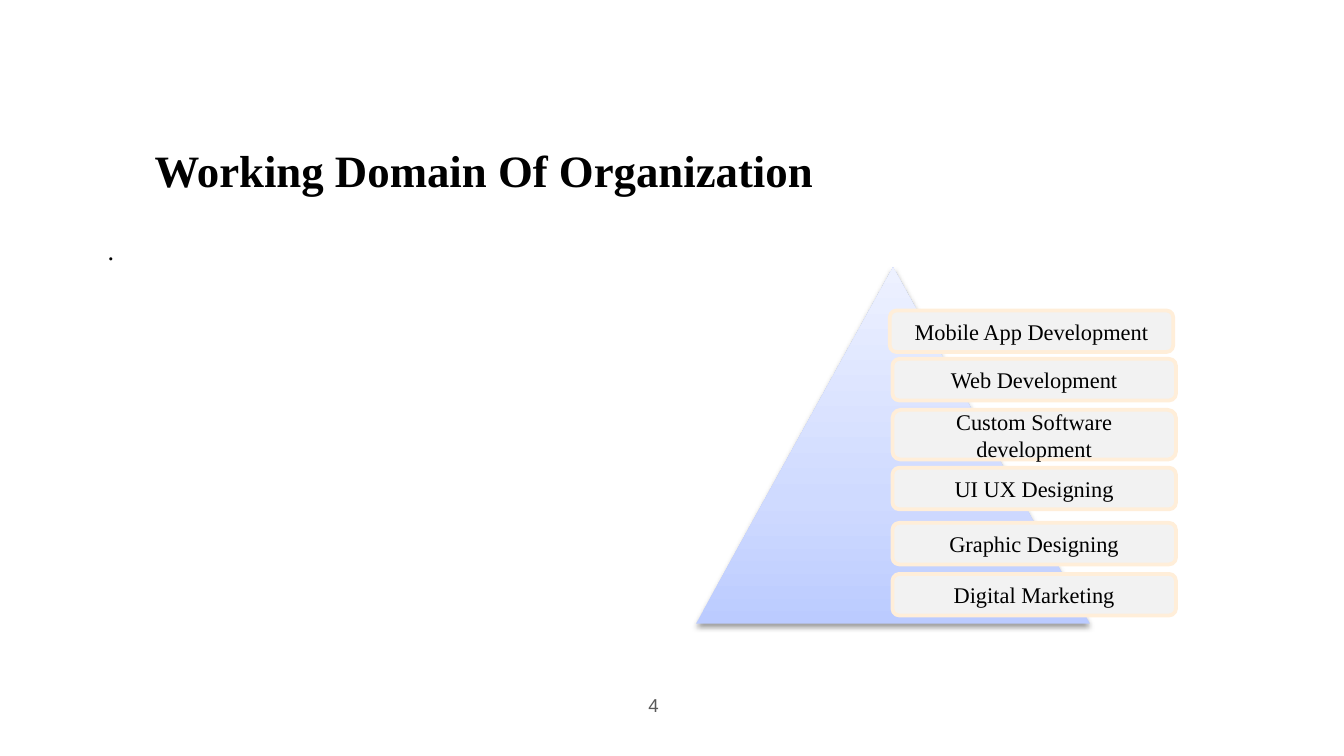
"""Build the slide on the working domains of the organization."""
from copy import deepcopy
from dataclasses import dataclass

from lxml.etree import SubElement
from pptx import Presentation
from pptx.dml.color import RGBColor
from pptx.enum.shapes import MSO_SHAPE as Preset
from pptx.enum.text import MSO_ANCHOR as Anchor, MSO_AUTO_SIZE as Fit, PP_ALIGN as Align
from pptx.oxml.ns import qn
from pptx.util import Inches, Pt

COLORS = {
    "ink": "000000", "number": "595959", "label": "F2F2F2", "border": "FFEED9",
    "base": "BBCBFF", "middle": "CFDAFF", "peak": "EDF1FF",
}
SERIF = "Times New Roman"
WIDTH = Inches(10)
HEIGHT = WIDTH * 9 // 16
UNIT = WIDTH // 100


@dataclass
class Box:
    left: float
    top: float
    width: float
    height: float

    def emu(self) -> tuple[int, ...]:
        return tuple(round(n * UNIT) for n in (self.left, self.top, self.width, self.height))


@dataclass
class Domain:
    name: str
    top: float
    left: float = 66.4
    height: float = 3.1


DOMAINS = [
    Domain("Mobile App Development", 23.1, left=66.2),
    Domain("Web Development", 26.7),
    Domain("Custom Software development", 30.5, height=3.7),
    Domain("UI UX Designing", 34.8),
    Domain("Graphic Designing", 38.9),
    Domain("Digital Marketing", 42.7),
]


def color(name: str) -> RGBColor:
    return RGBColor.from_string(COLORS[name])


def write(paragraph, text: str, size: float = 12, font: str = SERIF, ink: str = "ink",
          bold: bool = False, align=Align.CENTER, indent: float = 0,
          spacing: float = 1, before: float = 0) -> None:
    run = paragraph.add_run()
    run.text = text
    run.font.name, run.font.size, run.font.bold = font, Pt(size), bold
    run.font.color.rgb = color(ink)
    paragraph.alignment = align
    paragraph.line_spacing, paragraph.space_before = spacing, Pt(before)
    if indent:
        properties = paragraph._p.get_or_add_pPr()
        properties.set("marL", str(Inches(indent)))
        properties.set("indent", "0")


def set_frame(frame, anchor, inset: float = 0.1) -> None:
    frame.word_wrap, frame.auto_size, frame.vertical_anchor = True, Fit.NONE, anchor
    frame.margin_left = frame.margin_right = Inches(0.1)
    frame.margin_top = frame.margin_bottom = Inches(inset)


def draw_heading(slide) -> None:
    heading = slide.shapes.title
    heading.left, heading.top, heading.width, heading.height = Box(5.5, 7.6, 84.1, 41.1).emu()
    frame = heading.text_frame
    set_frame(frame, Anchor.TOP)
    shared = dict(align=Align.JUSTIFY, spacing=1.5, before=12)
    write(frame.paragraphs[0], "Working Domain Of Organization",
          size=24, bold=True, indent=0.5, **shared)
    write(frame.add_paragraph(), ".", size=14, indent=0.15, **shared)


def draw_page_number(slide, number: str) -> None:
    frame = slide.shapes.add_textbox(*Box(44, 50.3, 6, 4.3).emu()).text_frame
    set_frame(frame, Anchor.MIDDLE)
    write(frame.paragraphs[0], number, size=10, font="Arial", ink="number", align=Align.RIGHT)


def draw_pyramid(slide) -> None:
    pyramid = slide.shapes.add_shape(Preset.ISOSCELES_TRIANGLE, *Box(51.8, 19.9, 29.3, 26.5).emu())
    pyramid.line.fill.background()
    pyramid.fill.gradient()
    pyramid.fill.gradient_angle = 90
    properties = pyramid._element.spPr
    stops = properties.find(qn("a:gradFill")).find(qn("a:gsLst"))
    stops.insert(1, deepcopy(stops[0]))
    tints = [(0, "base"), (0.35, "middle"), (1, "peak")]
    for stop, (position, tint) in zip(pyramid.fill.gradient_stops, tints):
        stop.position, stop.color.rgb = position, color(tint)
    pyramid.shadow.inherit = False
    shadow = SubElement(properties.find(qn("a:effectLst")), qn("a:outerShdw"),
                        blurRad=str(Pt(3.1)), dist=str(Pt(1.6)), dir="5400000", rotWithShape="0")
    shade = SubElement(shadow, qn("a:srgbClr"), val=COLORS["ink"])
    SubElement(shade, qn("a:alpha"), val="38000")


def draw_domain(slide, domain: Domain) -> None:
    box = Box(domain.left, domain.top, 21.1, domain.height)
    label = slide.shapes.add_shape(Preset.ROUNDED_RECTANGLE, *box.emu())
    label.shadow.inherit = False
    label.fill.solid()
    label.fill.fore_color.rgb = color("label")
    label.line.color.rgb, label.line.width = color("border"), Pt(2)
    set_frame(label.text_frame, Anchor.MIDDLE, inset=0.05)
    write(label.text_frame.paragraphs[0], domain.name)


def main() -> None:
    deck = Presentation()
    deck.slide_width, deck.slide_height = WIDTH, HEIGHT
    slide = deck.slides.add_slide(deck.slide_layouts[5])
    draw_heading(slide)
    draw_page_number(slide, "4")
    draw_pyramid(slide)
    for domain in DOMAINS:
        draw_domain(slide, domain)
    deck.save("out.pptx")


if __name__ == "__main__":
    main()
